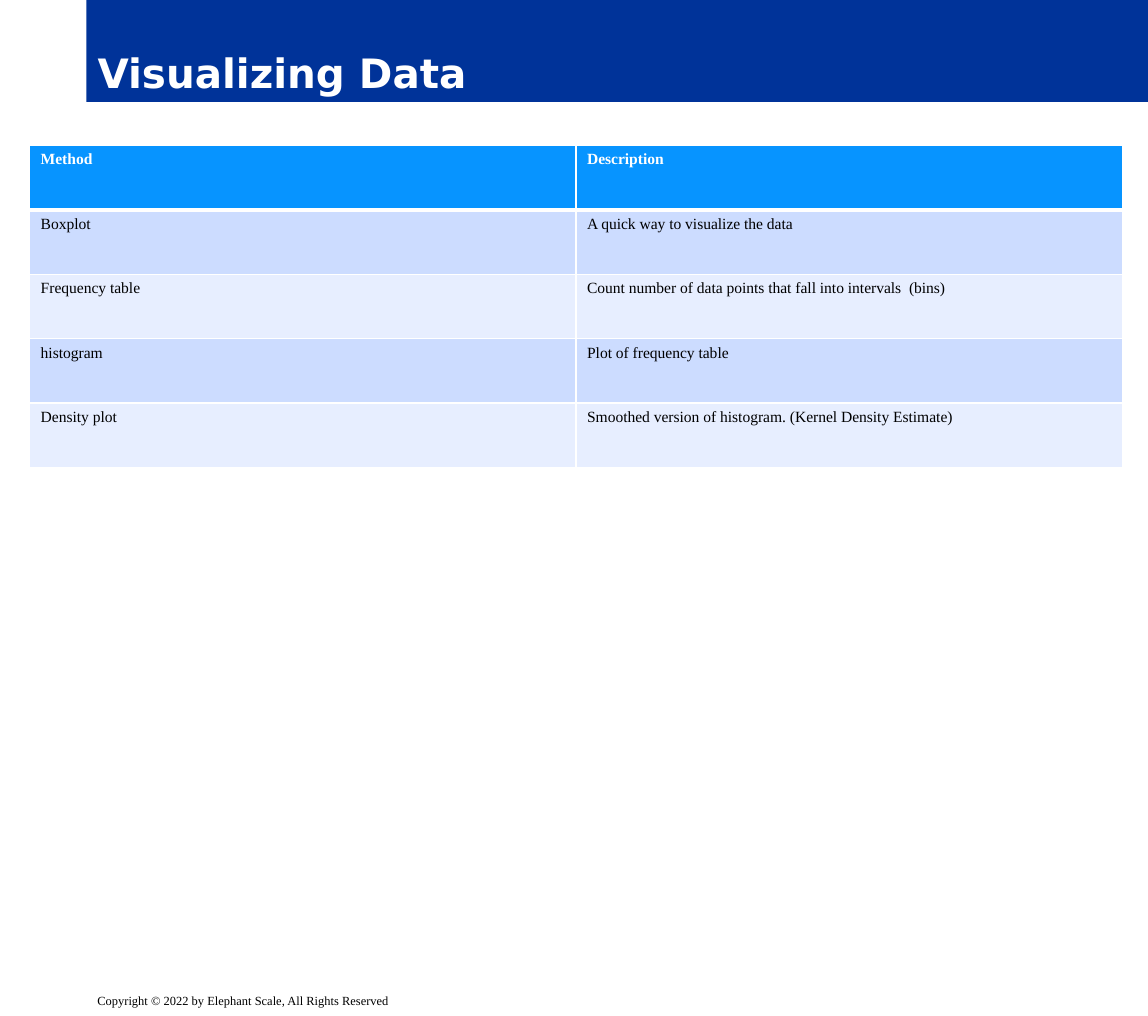
from lxml.etree import SubElement as Sub
from pptx import Presentation
from pptx.dml.color import RGBColor
from pptx.enum.text import MSO_ANCHOR as Anchor, MSO_AUTO_SIZE as Auto, PP_ALIGN as Align
from pptx.oxml.ns import qn
from pptx.util import Pt

ROWS = [
    ("Method", "Description"),
    ("Boxplot", "A quick way to visualize the data"),
    ("Frequency table", "Count number of data points that fall into intervals  (bins)"),
    ("histogram", "Plot of frequency table"),
    ("Density plot", "Smoothed version of histogram. (Kernel Density Estimate)"),
]


def tint(code):
    return RGBColor.from_string(code)


class Deck:
    """Holds the style and the current slide, and draws each kind of element."""

    head, serif = "DejaVu Sans", "Times New Roman"
    navy, sky, white, black = "003399", "0794FF", "FFFFFF", "000000"
    bands = "E7EEFF", "CCDCFF"

    def __init__(self, wide, high):
        self.deck = Presentation()
        self.deck.slide_width, self.deck.slide_height = Pt(wide), Pt(high)
        self.slide = self.deck.slides.add_slide(self.deck.slide_layouts[5])

    def label(self, frame, text, size, face, color, bold=False):
        para = frame.paragraphs[0]
        para.text = text
        para.alignment = Align.LEFT
        font = para.font
        font.size, font.name, font.bold = Pt(size), face, bold
        font.color.rgb = tint(color)

    def title(self, text, x, y, w, h):
        shape = self.slide.shapes.title
        shape.left, shape.top, shape.width, shape.height = map(Pt, (x, y, w, h))
        shape.fill.solid()
        shape.fill.fore_color.rgb = tint(self.navy)
        frame = shape.text_frame
        frame.auto_size = Auto.NONE
        frame.vertical_anchor = Anchor.BOTTOM
        self.label(frame, text, 26, self.head, self.white, True)

    def note(self, text, x, y, w, h):
        frame = self.slide.shapes.add_textbox(*map(Pt, (x, y, w, h))).text_frame
        frame.word_wrap = True
        self.label(frame, text, 8, self.serif, self.black)

    def edge(self, cell, side, width):
        props = cell._tc.get_or_add_tcPr()
        line = Sub(props, qn(f"a:ln{side}"), w=str(Pt(width)))
        Sub(Sub(line, qn("a:solidFill")), qn("a:srgbClr"), val=self.white)

    def table(self, rows, x, y, w, h):
        grid = self.slide.shapes.add_table(len(rows), len(rows[0]), *map(Pt, (x, y, w, h))).table
        for r, row in enumerate(rows):
            top = r == 0
            for c, text in enumerate(row):
                cell = grid.cell(r, c)
                for side in "LRTB":
                    thick = (r, side) in ((0, "B"), (1, "T"))
                    self.edge(cell, side, 3 if thick else 1)
                cell.fill.solid()
                cell.fill.fore_color.rgb = tint(self.sky if top else self.bands[r % 2])
                color = self.white if top else self.black
                self.label(cell.text_frame, text, 10, self.serif, color, top)

    def save(self):
        self.deck.save("out.pptx")


def main():
    deck = Deck(738, 653)
    deck.title("Visualizing Data", 55.5, 0, 682.5, 65.5)
    deck.note("Copyright © 2022 by Elephant Scale, All Rights Reserved", 55.5, 635, 682.5, 18)
    deck.table(ROWS, 19, 93.5, 702.5, 207)
    deck.save()


if __name__ == "__main__":
    main()
